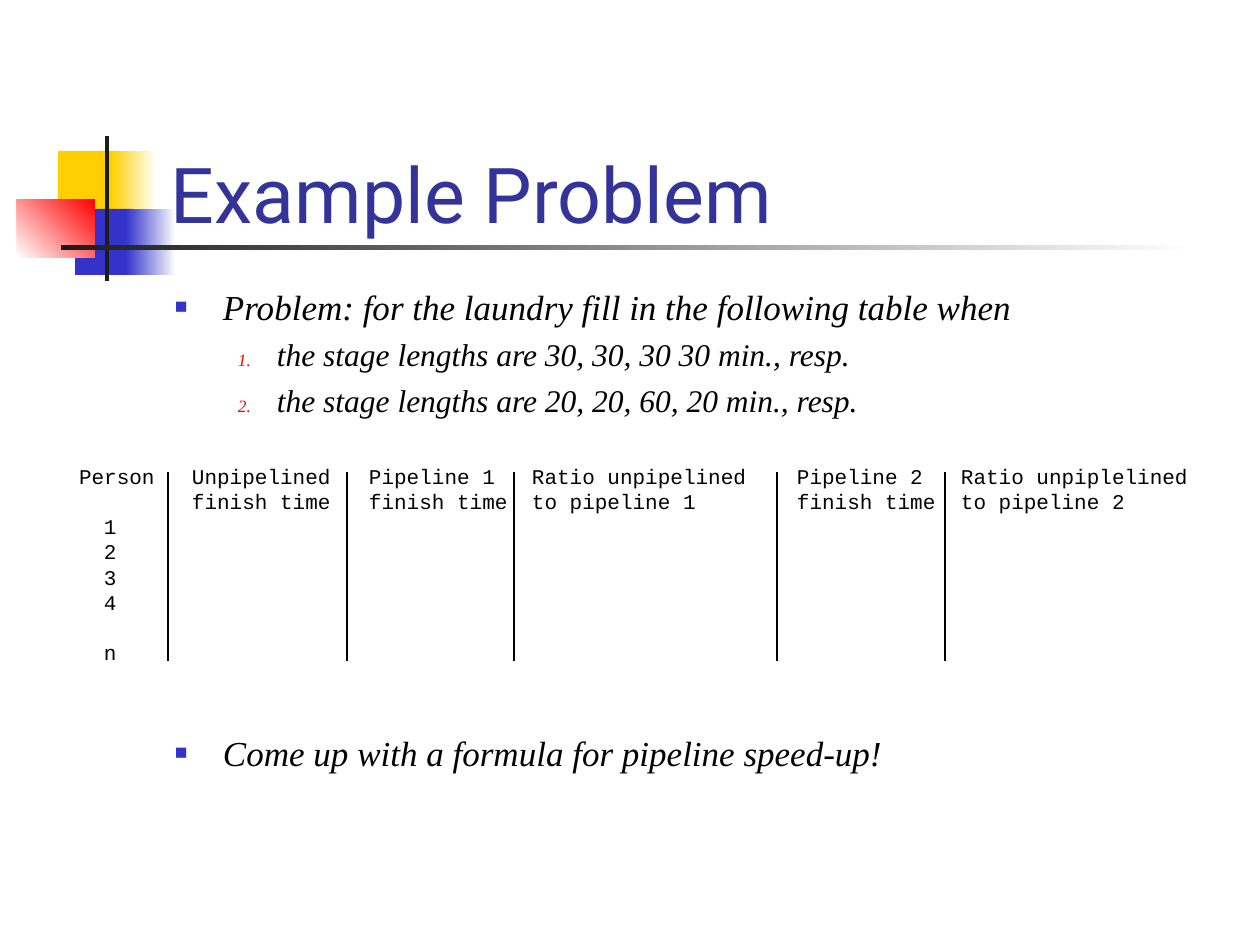
from lxml.etree import SubElement
from pptx import Presentation
from pptx.dml.color import RGBColor
from pptx.enum.shapes import MSO_CONNECTOR, MSO_SHAPE
from pptx.enum.text import MSO_ANCHOR
from pptx.oxml.ns import qn
from pptx.util import Pt

EMU_PER_PX = 914400 / 126
BLACK = "000000"
BODY_FONT = "Times New Roman"
TABLE_FONT = "Courier New"


def px(length):
    return round(length * EMU_PER_PX)


def color(hex_code):
    return RGBColor.from_string(hex_code)


def write(paragraph, text, font=BODY_FONT, size=20, ink=BLACK, italic=False, before=0, leading=None):
    run = paragraph.add_run()
    run.text = text
    run.font.name = font
    run.font.size = Pt(size)
    run.font.italic = italic
    run.font.color.rgb = color(ink)
    paragraph.space_before = Pt(before)
    if leading:
        paragraph.line_spacing = Pt(leading)


def add_bullet(paragraph, left, hang, ink, percent, mark):
    properties = paragraph._p.get_or_add_pPr()
    properties.set("marL", str(px(left)))
    properties.set("indent", str(px(-hang)))
    bullet_ink = SubElement(properties, qn("a:buClr"))
    SubElement(bullet_ink, qn("a:srgbClr"), val=ink)
    SubElement(properties, qn("a:buSzPct"), val=str(percent * 1000))
    SubElement(properties, qn("a:buFont"), typeface=BODY_FONT)
    if mark == "1.":
        SubElement(properties, qn("a:buAutoNum"), type="arabicPeriod")
    else:
        SubElement(properties, qn("a:buChar"), char=mark)


def add_frame(slide, left, top, width, height):
    frame = slide.shapes.add_textbox(px(left), px(top), px(width), px(height)).text_frame
    frame.word_wrap = True
    frame.margin_left = frame.margin_right = frame.margin_top = frame.margin_bottom = 0
    return frame


def add_block(slide, left, top, width, height, start, end=None, angle=0):
    block = slide.shapes.add_shape(MSO_SHAPE.RECTANGLE, px(left), px(top), px(width), px(height))
    block.shadow.inherit = False
    block.line.fill.background()
    if end is None:
        block.fill.solid()
        block.fill.fore_color.rgb = color(start)
        return
    block.fill.gradient()
    block.fill.gradient_angle = angle
    for stop, ink in zip(block.fill.gradient_stops, (start, end)):
        stop.color.rgb = color(ink)


def add_ornament(slide, left, top):
    blocks = [
        (41, 15, 60, 66, "FFCF01"),
        (94, 15, 45, 66, "FFCF01", "FFFFFF"),
        (58, 73, 58, 66, "3333CC"),
        (109, 73, 50, 66, "3333CC", "FFFFFF"),
        (0, 63, 78, 59, "FFFFFF", "FF0000", 45),
        (88, 0, 4, 145, "1C1C1C"),
        (44, 109, 1134, 5, "1C1C1C", "FFFFFF"),
    ]
    for x, y, width, height, *fill in blocks:
        add_block(slide, left + x, top + y, width, height, *fill)


def add_title(slide, left, top, width, height):
    frame = add_frame(slide, left, top, width, height)
    frame.vertical_anchor = MSO_ANCHOR.BOTTOM
    write(frame.paragraphs[0], "Example Problem", font="Roboto", size=44, ink="333399")


def add_list(slide, left, top, width, height, items):
    frame = add_frame(slide, left, top, width, height)
    for index, (level, text) in enumerate(items):
        paragraph = frame.add_paragraph() if index else frame.paragraphs[0]
        paragraph.level = level
        size = 18 if level else 20
        write(paragraph, text, size=size, italic=True,
              before=size / 4 if index else 0, leading=size * 1.2)
        if level:
            add_bullet(paragraph, 102, 39, "FF0000", 55, "1.")
        else:
            add_bullet(paragraph, 48, 48, "3333CC", 60, "■")


def add_rule(slide, x, top, bottom):
    rule = slide.shapes.add_connector(MSO_CONNECTOR.STRAIGHT, px(x), px(top), px(x), px(bottom))
    rule.line.color.rgb = color(BLACK)
    rule.line.width = Pt(0.75)
    SubElement(rule._element.spPr, qn("a:effectLst"))


def add_finish_times(slide, left, top):
    headings = ["Person", "Unpipelined\nfinish time", "Pipeline 1\nfinish time",
                "Ratio unpipelined\nto pipeline 1", "Pipeline 2\nfinish time",
                "Ratio unpiplelined\nto pipeline 2"]
    people = ["1", "2", "3", "4", "", "n"]
    widths = [113, 177, 163, 265, 164, 240]
    rules = [89, 268, 435, 698, 866]
    line_height = 25

    heights = [2 * line_height] + [line_height] * len(people)
    table = slide.shapes.add_table(len(heights), len(widths), px(left), px(top),
                                   px(sum(widths)), px(sum(heights))).table
    table.first_row = table.horz_banding = False
    for column, width in zip(table.columns, widths):
        column.width = px(width)
    for row, height in zip(table.rows, heights):
        row.height = px(height)
    texts = [headings] + [[person] + [""] * (len(widths) - 1) for person in people]
    for row_index, row in enumerate(texts):
        for column_index, text in enumerate(row):
            cell = table.cell(row_index, column_index)
            cell.fill.background()
            cell.margin_left = cell.margin_right = cell.margin_top = cell.margin_bottom = 0
            if row_index and not column_index:
                cell.margin_left = px(line_height)
            frame = cell.text_frame
            frame.word_wrap = True
            for index, line in enumerate(text.split("\n")):
                paragraph = frame.add_paragraph() if index else frame.paragraphs[0]
                paragraph.font.size = Pt(12)
                if line:
                    write(paragraph, line, font=TABLE_FONT, size=12, leading=14.2)
    for x in rules:
        add_rule(slide, left + x, top + 6, top + 195)


def main():
    deck = Presentation()
    deck.slide_width, deck.slide_height = px(1260), px(945)
    slide = deck.slides.add_slide(deck.slide_layouts[6])
    add_ornament(slide, 17, 136)
    add_title(slide, 171, 90, 1048, 149)
    add_list(slide, 175, 285, 1046, 145, [
        (0, "Problem: for the laundry fill in the following table when"),
        (1, "the stage lengths are 30, 30, 30 30 min., resp."),
        (1, "the stage lengths are 20, 20, 60, 20 min., resp."),
    ])
    add_finish_times(slide, 79, 466)
    add_list(slide, 175, 731, 1046, 45, [(0, "Come up with a formula for pipeline speed-up!")])
    deck.save("out.pptx")


if __name__ == "__main__":
    main()
